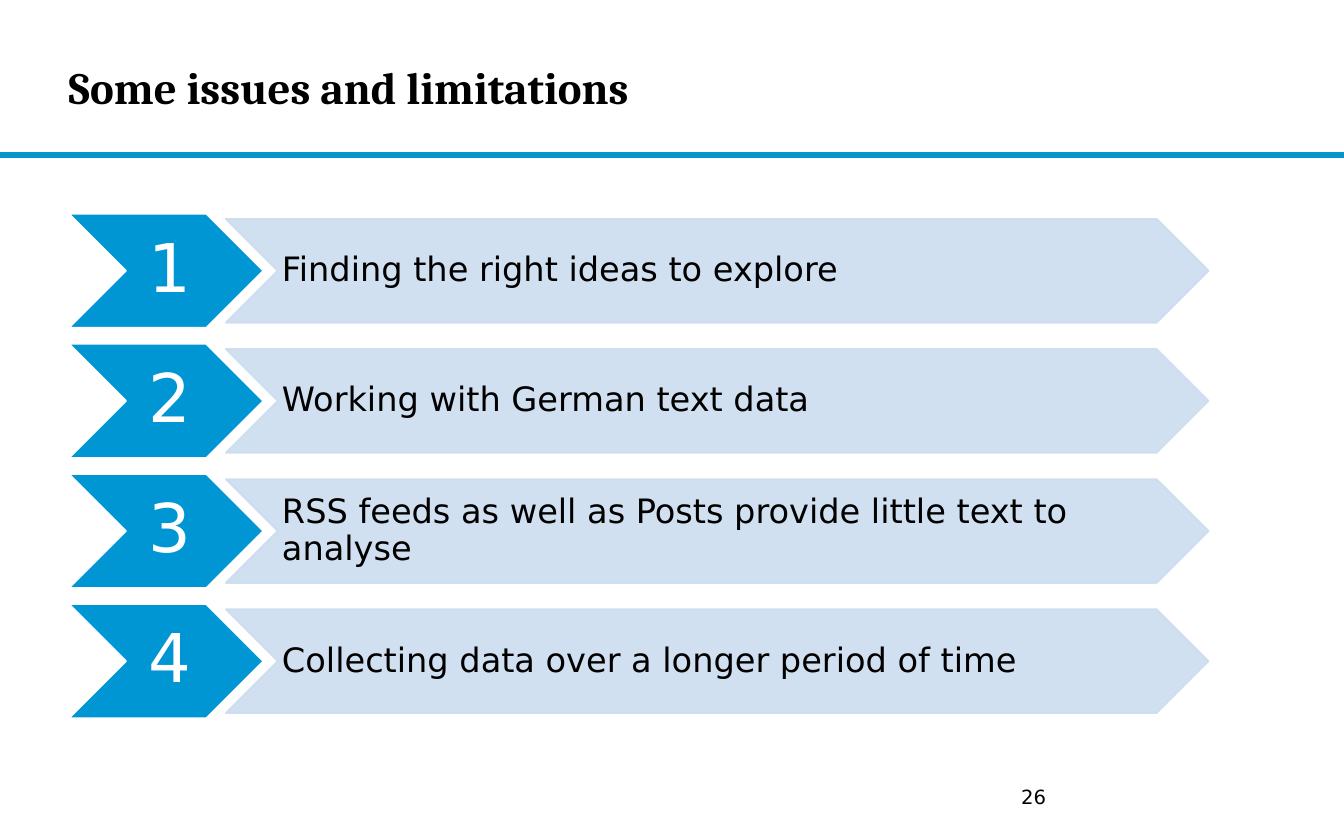
from dataclasses import dataclass

from lxml.etree import SubElement
from pptx import Presentation
from pptx.dml.color import RGBColor
from pptx.enum.shapes import MSO_SHAPE as Shape
from pptx.enum.text import MSO_ANCHOR as Anchor, PP_ALIGN as Align
from pptx.oxml.ns import qn
from pptx.util import Cm, Pt


@dataclass(frozen=True)
class Theme:
    heading_font: str = "Cambria"
    body_font: str = "DejaVu Sans"
    black: str = "000000"
    white: str = "FFFFFF"
    accent: str = "0096D3"
    rule: str = "0C94B7"
    band: str = "CCDDEF"
    title_size: float = 24
    number_size: float = 36
    issue_size: float = 18
    page_size: float = 10.5


THEME = Theme()

ISSUES = [
    "Finding the right ideas to explore",
    "Working with German text data",
    "RSS feeds as well as Posts provide little text to analyse",
    "Collecting data over a longer period of time",
]


def add_filled_shape(slide, kind, box, fill, line, opacity=100):
    shape = slide.shapes.add_shape(kind, *map(Cm, box))
    shape.shadow.inherit = False
    shape.fill.solid()
    shape.fill.fore_color.rgb = RGBColor.from_string(fill)
    shape.line.color.rgb = RGBColor.from_string(line)
    shape.line.width = Pt(1)
    if opacity < 100:
        for color in shape._element.spPr.iter(qn("a:srgbClr")):
            SubElement(color, qn("a:alpha"), val=str(opacity * 1000))
    return shape


def write_text(shape, text, size, color, font=THEME.body_font, bold=False,
               align=Align.LEFT, anchor=Anchor.MIDDLE, insets=(0, 0, 0, 0), spacing=1.0):
    frame = shape.text_frame
    frame.word_wrap = True
    frame.vertical_anchor = anchor
    (frame.margin_left, frame.margin_top,
     frame.margin_right, frame.margin_bottom) = map(Cm, insets)
    paragraph = frame.paragraphs[0]
    paragraph.alignment = align
    paragraph.line_spacing = spacing
    run = paragraph.add_run()
    run.text = text
    run.font.name = font
    run.font.size = Pt(size)
    run.font.bold = bold
    run.font.color.rgb = RGBColor.from_string(color)


def add_header(slide, left, top, width, height):
    add_filled_shape(slide, Shape.RECTANGLE, (left, top + height - 0.08, width, 0.08),
                     THEME.rule, THEME.accent)
    title = slide.shapes.add_textbox(Cm(left + 1.3), Cm(top + 0.38), Cm(19), Cm(2.51))
    write_text(title, "Some issues and limitations", THEME.title_size, THEME.black,
               font=THEME.heading_font, bold=True)


def add_issue(slide, left, top, width, height, number, text):
    chevron = add_filled_shape(slide, Shape.CHEVRON, (left, top, 3.68, height),
                               THEME.accent, THEME.white)
    write_text(chevron, str(number), THEME.number_size, THEME.white, align=Align.CENTER,
               insets=(0.13, 0.08, 0, 0.08), spacing=0.9)
    indent, inset = 2.97, 0.1
    band = add_filled_shape(slide, Shape.CHEVRON,
                            (left + indent, top + inset, width - indent, height - 2 * inset),
                            THEME.band, THEME.band, opacity=90)
    write_text(band, text, THEME.issue_size, THEME.black,
               insets=(0.08, 0.03, 0, 0.03), spacing=0.9)


def add_issue_list(slide, left, top, width, height):
    row_height = 2.16
    pitch = (height - row_height) / (len(ISSUES) - 1)
    for index, text in enumerate(ISSUES):
        add_issue(slide, left, top + index * pitch, width, row_height, index + 1, text)


def add_page_number(slide, left, top, width, height):
    box = slide.shapes.add_textbox(Cm(left), Cm(top), Cm(width), Cm(height))
    write_text(box, "26", THEME.page_size, THEME.black, anchor=Anchor.TOP,
               insets=(0.25, 0.13, 0.25, 0.13))


def main():
    presentation = Presentation()
    presentation.slide_width = Cm(25.4)
    presentation.slide_height = Cm(15.88)
    slide = presentation.slides.add_slide(presentation.slide_layouts[6])
    add_header(slide, 0, 0, 25.4, 2.97)
    add_issue_list(slide, 1.3, 4.04, 21.54, 9.54)
    add_page_number(slide, 19.05, 14.71, 1.37, 0.71)
    presentation.save("out.pptx")


if __name__ == "__main__":
    main()
